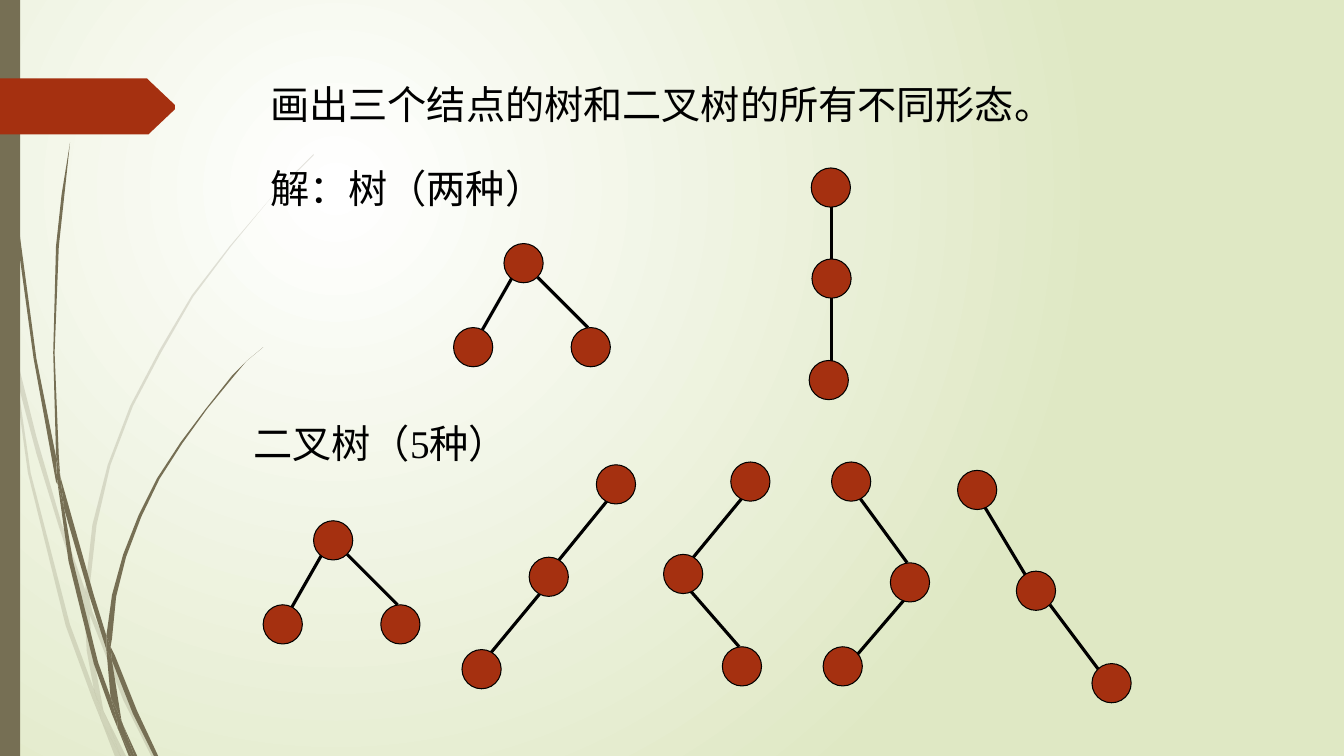
from lxml.etree import SubElement as Sub
from pptx import Presentation
from pptx.dml.color import RGBColor
from pptx.enum.shapes import MSO_CONNECTOR as Line, MSO_SHAPE as Shape
from pptx.enum.text import MSO_AUTO_SIZE as Auto
from pptx.oxml.ns import qn
from pptx.util import Pt

BLACK = RGBColor(0x00, 0x00, 0x00)
WHITE = RGBColor(0xFF, 0xFF, 0xFF)
LIME = RGBColor(0xDF, 0xE8, 0xC4)
OLIVE = RGBColor(0x76, 0x6F, 0x54)
RUST = RGBColor(0xA5, 0x30, 0x10)

PALE_GRASS = [
    [(8, 252), (6.5, 232), (0, 203), (0, 215), (7.2, 248)],
    [(42, 376), (60.5, 431), (61, 422), (44.5, 374.5), (26, 312),
     (10, 248.5), (12, 271), (26, 323.5)],
    [(66, 437), (63.5, 429), (63.5, 439), (88.5, 499.5), (108, 540.5),
     (111.5, 540.5), (91.5, 498)],
    [(85.5, 540.5), (89.5, 540.5), (75.5, 512)],
    [(67, 492), (50.5, 445.5), (22.5, 337.5), (12, 270.5), (8, 252),
     (20, 338.5), (47, 447), (66, 499), (72.5, 514), (71.5, 509)],
    [(60.5, 431), (62.5, 465), (67, 492), (69, 498), (75.5, 512),
     (74, 508), (65.5, 465), (63.5, 439), (63.5, 438)],
    [(63.5, 420.5), (69, 375), (79, 332.5), (95, 290), (115, 251.5),
     (138, 212), (165, 176.5), (193, 142.5), (209, 126), (224.5, 111),
     (224.5, 110), (208, 126), (193, 142), (164, 175.5), (137, 211),
     (114, 250.5), (93, 290), (77, 332), (66.5, 375), (61, 420.5),
     (61, 422), (63.5, 429)],
    [(72.5, 514), (82, 540.5), (85.5, 540.5)],
    [(63.5, 438), (63.5, 439), (63.5, 429), (61, 422), (60.5, 431)],
    [(69, 498), (67, 492), (71.5, 509), (72.5, 514), (85.5, 540.5),
     (75.5, 512)],
]
DARK_GRASS = [
    [(5, 79), (12, 168), (24, 255.5), (40.5, 343.5), (41, 346.5),
     (39.5, 329), (39.5, 326), (26, 255.5), (13.5, 167), (6, 78.5),
     (3.5, 34.5), (3, 0), (2, 0), (3, 34.5)],
    [(63.5, 426), (76.5, 464.5), (76.5, 456), (76.5, 454.5), (67, 425),
     (43, 340), (46, 363.5)],
    [(81.5, 467.5), (79, 461.5), (80, 472.5), (95, 510), (109.5, 539.5),
     (113, 539.5), (98, 508.5)],
    [(79, 497.5), (70.5, 473), (52, 400.5), (46, 363.5), (41, 343.5),
     (49, 401), (67, 474.5), (80, 510), (84, 520), (83.5, 516)],
    [(43, 340), (42, 326), (39, 251.5), (42, 176.5), (45.5, 139),
     (50.5, 101.5), (44.5, 139), (40.5, 176.5), (37.5, 251.5), (39.5, 323.5)],
    [(96, 539.5), (98, 539.5), (88, 517.5)],
    [(41, 343.5), (46, 363.5), (43, 340), (39.5, 323.5), (39.5, 326)],
    [(80, 456), (83, 426), (90, 397.5), (101, 369), (114, 342.5),
     (130, 317), (147.5, 292.5), (166.5, 269.5), (176.5, 258.5),
     (187.5, 247.5), (176.5, 258), (166.5, 268.5), (147, 291.5),
     (129, 316), (112.5, 341.5), (99, 368), (88, 396.5), (80, 425),
     (76.5, 454.5), (79, 461.5)],
    [(84, 520), (91.5, 539.5), (94.5, 539.5)],
    [(76.5, 464.5), (79, 497.5), (83.5, 508.5), (88, 517.5), (87, 515.5),
     (80, 472.5), (78.5, 468.5)],
    [(76.5, 464.5), (78.5, 468.5), (80, 472.5), (79, 461.5), (76.5, 454.5),
     (76.5, 456)],
    [(83.5, 508.5), (79, 497.5), (83.5, 516), (84, 520), (93.5, 539.5),
     (96, 539.5), (88, 517.5)],
]
FLAG = [(0, 56), (105, 56), (106.5, 57), (125, 75), (125, 77.5),
        (106.5, 96), (105, 96.5), (0, 96)]

FORK = ([(0, 0), (-36, 60), (48, 60)],
        [(6, 24, -18, 66), (24, 24, 60, 60)])
CHAIN = ([(0, 0), (0.5, 65), (-1.5, 137.5)],
         [(14.5, 18, 14.5, 72), (14.5, 83.5, 14.5, 144)])
LEFT = ([(0, 0), (-48, 66), (-96, 132)],
        [(14, 18, -30, 72), (-34.5, 85, -78, 137.5)])
LEFT_BEND = ([(0, 0), (-48, 66), (-6, 132)],
             [(14.5, 18, -30, 72), (-34.5, 85.5, 6, 132)])
RIGHT_BEND = ([(0, 0), (42, 72), (-6, 132)],
              [(14.5, 18, 54, 72), (54, 96, 18, 138)])
RIGHT = ([(0, 0), (42, 72), (96, 138)],
         [(14.5, 18, 54, 84), (66, 96, 102, 144)])
TREES = [(360, 174, FORK), (579.5, 120, CHAIN), (224, 372, FORK),
         (426, 332, LEFT), (522, 330, LEFT_BEND), (684, 336, RIGHT),
         (594, 330, RIGHT_BEND)]


class Board:
    """Draws the parts of one slide in a shared style."""

    font = "Times New Roman"
    size = 28
    dot_size = 28

    def __init__(self, slide):
        self.slide = slide
        self.shapes = slide.shapes

    def backdrop(self, inner, outer):
        fill = self.slide.background.fill
        fill.gradient()
        for stop, color in zip(fill.gradient_stops, (inner, outer)):
            stop.color.rgb = color
        grad = next(self.slide.element.iter(qn("a:gradFill")))
        grad.remove(grad.find(qn("a:lin")))
        way = Sub(grad, qn("a:path"), path="circle")
        Sub(way, qn("a:fillToRect"), l="50000", t="50000",
            r="100000", b="100000")

    def paint(self, shape, color, edge=None):
        shape.shadow.inherit = False
        shape.fill.solid()
        shape.fill.fore_color.rgb = color
        if edge is None:
            shape.line.fill.background()
        else:
            shape.line.color.rgb = edge
            shape.line.width = Pt(0.75)

    def outline(self, points, color, alpha=None):
        pen = self.shapes.build_freeform(*points[0], scale=Pt(1))
        pen.add_line_segments(points[1:], close=True)
        shape = pen.convert_to_shape()
        self.paint(shape, color)
        if alpha:
            tint = next(shape.element.spPr.iter(qn("a:srgbClr")))
            Sub(tint, qn("a:alpha"), val=str(alpha * 1000))

    def block(self, kind, x, y, w, h, color, edge=None):
        shape = self.shapes.add_shape(kind, Pt(x), Pt(y), Pt(w), Pt(h))
        self.paint(shape, color, edge)

    def link(self, *ends):
        line = self.shapes.add_connector(Line.STRAIGHT, *map(Pt, ends))
        line.line.color.rgb = BLACK
        line.line.width = Pt(2.25)
        Sub(line.element.spPr, qn("a:effectLst"))

    def tree(self, x, y, form):
        dots, links = form
        for a, b, c, d in links:
            self.link(x + a, y + b, x + c, y + d)
        for a, b in dots:
            self.block(Shape.OVAL, x + a, y + b, self.dot_size,
                       self.dot_size, RUST, BLACK)

    def text(self, words, x, y, w, wrap=True):
        frame = self.shapes.add_textbox(Pt(x), Pt(y), Pt(w), Pt(41)).text_frame
        frame.word_wrap = wrap
        frame.auto_size = Auto.SHAPE_TO_FIT_TEXT
        frame.text = words
        font = frame.paragraphs[0].runs[0].font
        font.name = self.font
        font.size = Pt(self.size)
        font.color.rgb = BLACK


def main():
    deck = Presentation()
    deck.slide_width, deck.slide_height = Pt(960), Pt(540)
    board = Board(deck.slides.add_slide(deck.slide_layouts[6]))
    board.backdrop(WHITE, LIME)
    for blade in PALE_GRASS:
        board.outline(blade, OLIVE, 20)
    for blade in DARK_GRASS:
        board.outline(blade, OLIVE)
    board.block(Shape.RECTANGLE, 0, 0, 14.4, 540, OLIVE)
    board.outline(FLAG, RUST)
    board.text("画出三个结点的树和二叉树的所有不同形态。", 186, 54, 624)
    board.text("解：树（两种）", 186, 114, 210, wrap=False)
    board.text("二叉树（5种）", 174, 296, 196.5)
    for x, y, form in TREES:
        board.tree(x, y, form)
    deck.save("out.pptx")


if __name__ == "__main__":
    main()
